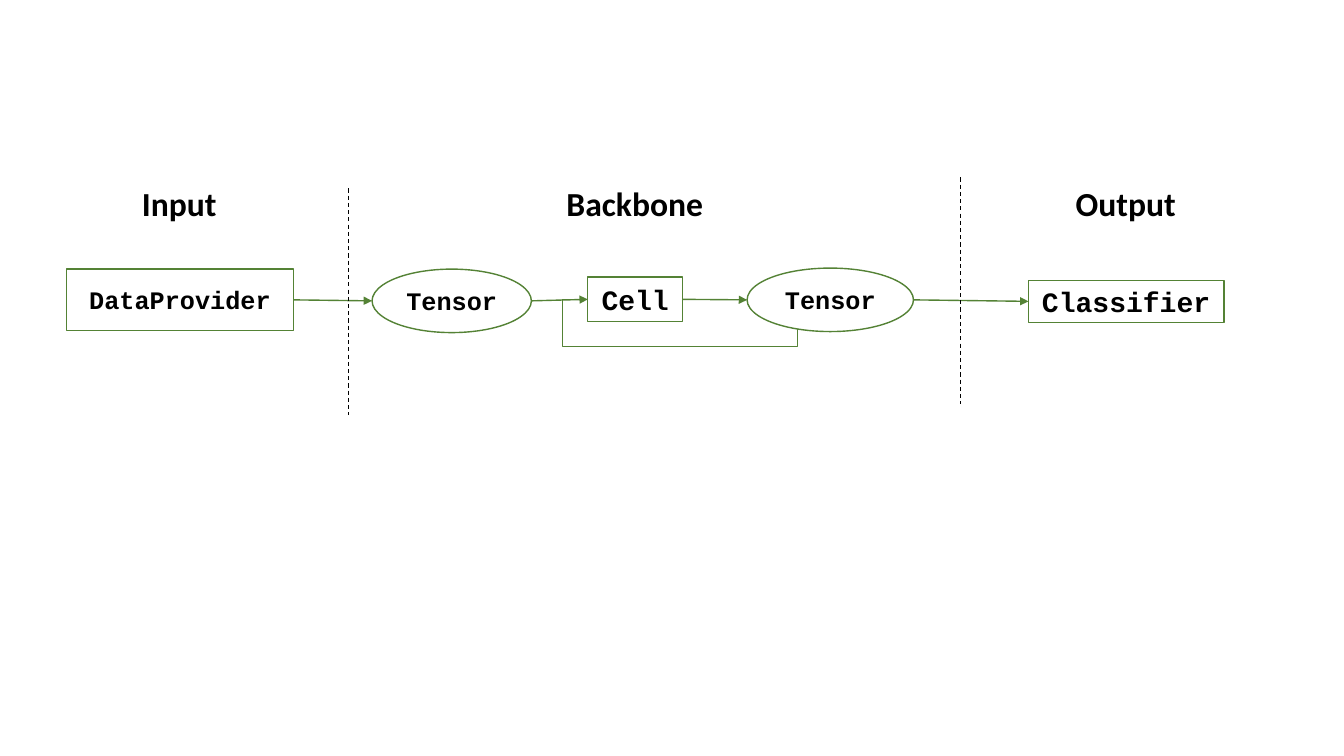
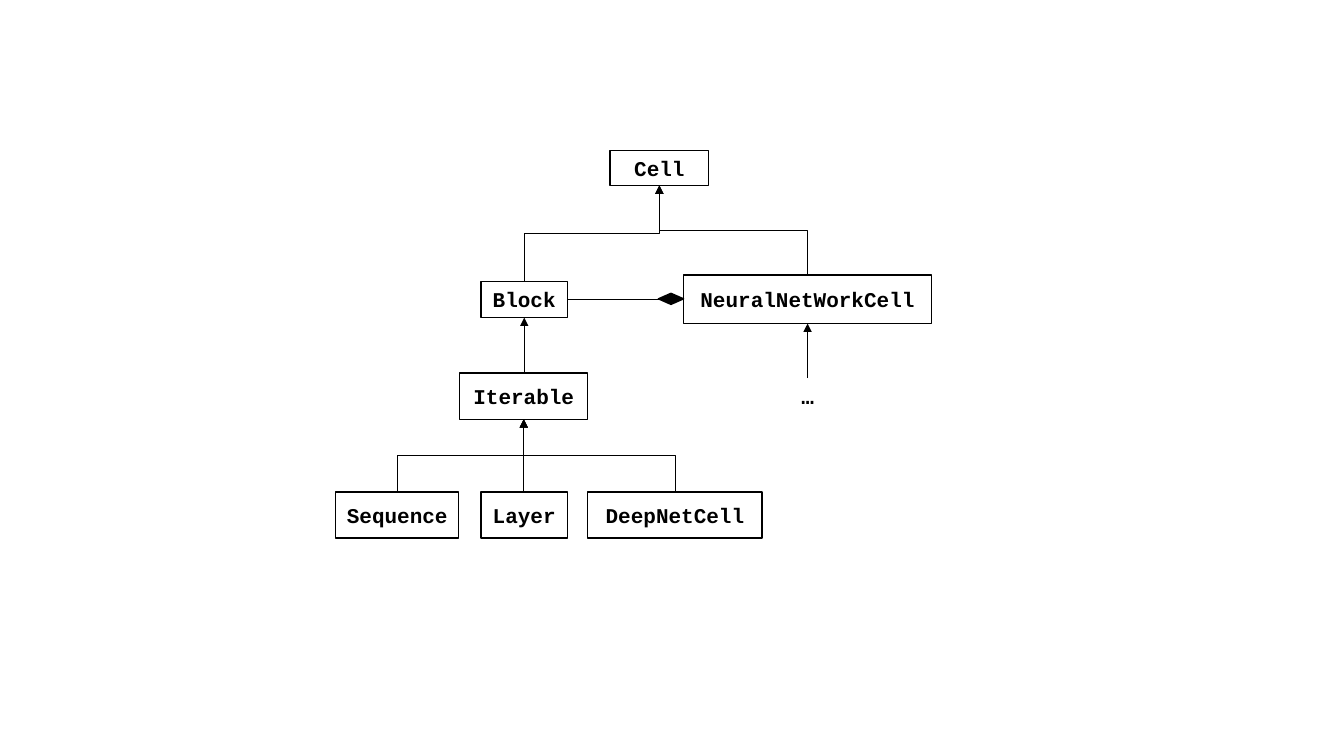
"""Draw a network pipeline and a cell class hierarchy on two slides."""
from dataclasses import dataclass
from typing import Any, Optional

from lxml import etree
from pptx import Presentation
from pptx import slide as sl
from pptx import util as u
from pptx.dml import color, line as ln
from pptx.enum import dml, shapes, text
from pptx.oxml import ns

Point = tuple[float, float]
KIND = shapes.MSO_SHAPE


@dataclass(frozen=True)
class Theme:
    """Colours, fonts, type sizes and line weights of the deck."""
    ink: str = "000000"
    paper: str = "FFFFFF"
    green: str = "548235"
    code: str = "Courier New"
    label: str = "Calibri"
    heading_size: float = 24
    large_size: float = 20
    flow_size: float = 18
    class_size: float = 15
    outline: float = 1
    divider: float = 0.75
    thin: float = 0.5


THEME = Theme()


@dataclass(frozen=True)
class Box:
    """A framed or plain piece of text with its edge midpoints."""
    name: str
    x: float
    y: float
    w: float
    h: float
    size: float = THEME.class_size
    colour: str = THEME.ink
    kind: Any = KIND.RECTANGLE
    fill: str = THEME.paper

    @property
    def top(self) -> Point:
        """Return the middle of the top edge."""
        return self.x + self.w / 2, self.y

    @property
    def bottom(self) -> Point:
        """Return the middle of the bottom edge."""
        return self.x + self.w / 2, self.y + self.h

    @property
    def left(self) -> Point:
        """Return the middle of the left edge."""
        return self.x, self.y + self.h / 2

    @property
    def right(self) -> Point:
        """Return the middle of the right edge."""
        return self.x + self.w, self.y + self.h / 2


@dataclass(frozen=True)
class Stroke:
    """The look of a line."""
    colour: str
    width: float
    arrow: bool = False
    dashed: bool = False


FLOW = Stroke(THEME.green, THEME.outline, arrow=True)
INHERIT = Stroke(THEME.ink, THEME.thin, arrow=True)
COMPOSE = Stroke(THEME.ink, THEME.thin)
DIVIDER = Stroke(THEME.ink, THEME.divider, dashed=True)


def apply(target: Any, formats: dict[str, Any]) -> None:
    """Set every format value on the target."""
    for name, value in formats.items():
        setattr(target, name, value)


def paint(line: ln.LineFormat, colour: str, width: float) -> None:
    """Give a line its colour and weight."""
    line.color.rgb = color.RGBColor.from_string(colour)
    line.width = u.Pt(width)


def write(frame: Any, words: str, font: str, size: float, align: Any) -> None:
    """Write one bold line into a text frame."""
    apply(frame, {"word_wrap": False,
                  "vertical_anchor": text.MSO_ANCHOR.MIDDLE})
    para = frame.paragraphs[0]
    para.alignment = align
    span = para.add_run()
    span.text = words
    apply(span.font, {"name": font, "size": u.Pt(size), "bold": True})
    span.font.color.rgb = color.RGBColor.from_string(THEME.ink)


def frame_of(box: Box) -> list[u.Length]:
    """Return the place and size of a box as lengths."""
    return [u.Inches(value) for value in (box.x, box.y, box.w, box.h)]


def draw_box(page: sl.Slide, box: Box) -> None:
    """Draw a filled shape with centred code text."""
    shape = page.shapes.add_shape(box.kind, *frame_of(box))
    shape.shadow.inherit = False
    shape.fill.solid()
    shape.fill.fore_color.rgb = color.RGBColor.from_string(box.fill)
    paint(shape.line, box.colour, THEME.outline)
    if box.name:
        write(shape.text_frame, box.name, THEME.code, box.size,
              text.PP_ALIGN.CENTER)


def draw_label(page: sl.Slide, box: Box, font: str) -> None:
    """Draw text without a frame."""
    label = page.shapes.add_textbox(*frame_of(box))
    write(label.text_frame, box.name, font, box.size, text.PP_ALIGN.LEFT)
    label.text_frame.auto_size = text.MSO_AUTO_SIZE.SHAPE_TO_FIT_TEXT


def draw_line(page: sl.Slide, start: Point, end: Point, stroke: Stroke,
              kind: Any = shapes.MSO_CONNECTOR.STRAIGHT,
              turn: Optional[int] = None) -> None:
    """Draw a connector, turned by whole degrees if asked."""
    ends = [u.Inches(value) for value in (*start, *end)]
    link = page.shapes.add_connector(kind, *ends)
    paint(link.line, stroke.colour, stroke.width)
    if stroke.dashed:
        link.line.dash_style = dml.MSO_LINE.DASH
    props = link._element.spPr
    if stroke.arrow:
        etree.SubElement(props.find(ns.qn("a:ln")), ns.qn("a:tailEnd"),
                         type="triangle")
    etree.SubElement(props, ns.qn("a:effectLst"))
    if turn is not None:
        props.find(ns.qn("a:xfrm")).set("rot", str(turn * 60000))


def draw_parent(page: sl.Slide, child: Box, parent: Box) -> None:
    """Draw an inheritance arrow from a child up to its parent."""
    (x1, y1), (x2, y2) = child.top, parent.bottom
    if abs(x1 - x2) < 0.02:
        draw_line(page, (x2, y1), (x2, y2), INHERIT)
        return
    side = 1 if x1 < x2 else -1
    mid_x, mid_y = (x1 + x2) / 2, (y1 + y2) / 2
    half_w, half_h = side * (y1 - y2) / 2, abs(x2 - x1) / 2
    draw_line(page, (mid_x + half_w, mid_y + half_h),
              (mid_x - half_w, mid_y - half_h), INHERIT,
              shapes.MSO_CONNECTOR.ELBOW, 90 if side > 0 else 270)


def draw_loop(page: sl.Slide, points: list[Point]) -> None:
    """Draw the open feedback outline through the points."""
    corners = [(u.Inches(x), u.Inches(y)) for x, y in points]
    builder = page.shapes.build_freeform(*corners[0])
    builder.add_line_segments(corners[1:], close=False)
    loop = builder.convert_to_shape()
    loop.shadow.inherit = False
    loop.fill.background()
    paint(loop.line, THEME.green, THEME.outline)


def build_pipeline(page: sl.Slide) -> None:
    """Draw the flow from input through backbone to output."""
    flow = {"size": THEME.flow_size, "colour": THEME.green}
    large = {"size": THEME.large_size, "colour": THEME.green}
    stages = [
        Box("DataProvider", 0.66, 2.67, 2.25, 0.61, **flow),
        Box("Tensor", 3.69, 2.67, 1.58, 0.63, kind=KIND.OVAL, **flow),
        Box("Cell", 5.83, 2.75, 0.94, 0.44, **large),
        Box("Tensor", 7.41, 2.66, 1.65, 0.63, kind=KIND.OVAL, **flow),
        Box("Classifier", 10.2, 2.78, 1.94, 0.42, **large),
    ]
    cell_x, cell_y = stages[2].left
    for source, target in zip(stages, stages[1:]):
        draw_line(page, source.right, target.left, FLOW)
    draw_loop(page, [(7.91, cell_y), (7.91, 3.44), (5.58, 3.44),
                     (5.58, cell_y), (cell_x, cell_y)])
    for stage in stages:
        draw_box(page, stage)
    for name, x, w in (("Input", 1.31, 0.95), ("Backbone", 5.52, 1.57),
                       ("Output", 10.57, 1.21)):
        draw_label(page, Box(name, x, 1.76, w, 0.5, THEME.heading_size),
                   THEME.label)
    for x, y in ((3.46, 1.87), (9.53, 1.76)):
        draw_line(page, (x, y), (x, y + 2.25), DIVIDER)


def build_hierarchy(page: sl.Slide) -> None:
    """Draw the class tree below Cell."""
    cell = Box("Cell", 6.05, 1.49, 0.98, 0.35)
    block = Box("Block", 4.77, 2.79, 0.86, 0.36)
    network = Box("NeuralNetWorkCell", 6.78, 2.73, 2.46, 0.48)
    iterable = Box("Iterable", 4.56, 3.7, 1.27, 0.46)
    leaves = [Box(name, x, 4.88, w, 0.46) for name, x, w in (
        ("Sequence", 3.33, 1.22), ("Layer", 4.77, 0.86),
        ("DeepNetCell", 5.83, 1.73))]
    more = Box("…", 7.85, 3.75, 0.33, 0.35)
    diamond = Box("", 6.53, 2.91, 0.25, 0.11, kind=KIND.FLOWCHART_DECISION,
                  fill=THEME.ink)
    for box in (cell, block, network, iterable, *leaves):
        draw_box(page, box)
    draw_label(page, more, THEME.code)
    for child, parent in ((block, cell), (network, cell), (iterable, block),
                          (more, network),
                          *((leaf, iterable) for leaf in leaves)):
        draw_parent(page, child, parent)
    draw_line(page, block.right, network.left, COMPOSE)
    draw_box(page, diamond)


def main() -> None:
    """Build and save the deck."""
    deck = Presentation()
    apply(deck, {"slide_width": u.Inches(13.33),
                 "slide_height": u.Inches(7.5)})
    for build in (build_pipeline, build_hierarchy):
        build(deck.slides.add_slide(deck.slide_layouts[6]))
    deck.save("out.pptx")


if __name__ == "__main__":
    main()
